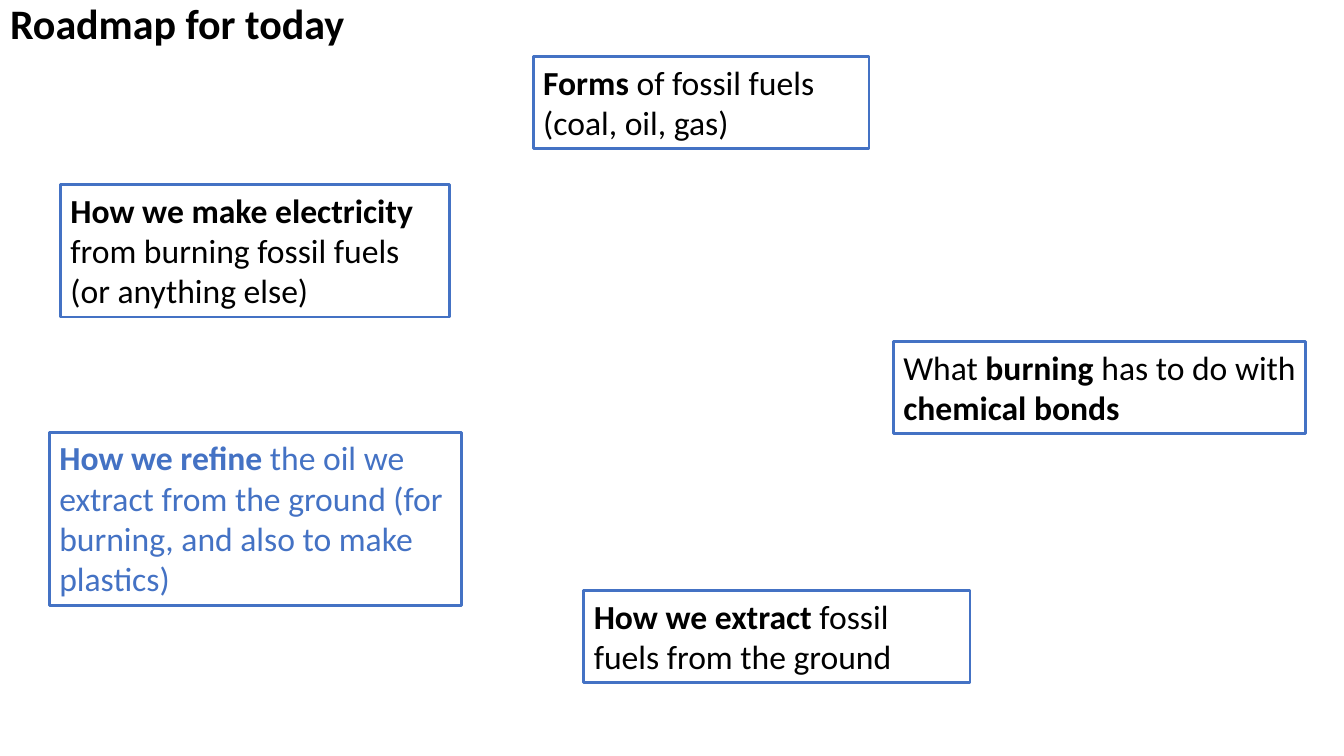
from dataclasses import dataclass

from pptx import Presentation
from pptx.dml.color import RGBColor
from pptx.enum.shapes import MSO_SHAPE
from pptx.enum.text import MSO_ANCHOR, MSO_AUTO_SIZE, PP_ALIGN
from pptx.shapes.autoshape import Shape
from pptx.slide import Slide
from pptx.util import Inches, Pt

WIDE, HIGH = Inches(13.33), Inches(7.5)
BLACK, BLUE = "000000", "4472C4"
PAD, ROW = 1.33, 5.4


@dataclass
class Topic:
    text: str
    left: float
    top: float
    width: float
    rows: int
    color: str = BLACK


TOPICS = [
    Topic("*How we make electricity* from burning fossil fuels (or anything else)",
          4.5, 24.4, 28.96, 3),
    Topic("*How we refine *the oil we extract from the ground "
          "(for burning, and also to make plastics)",
          3.68, 57.2, 30.68, 4, BLUE),
    Topic("*Forms* of fossil fuels (coal, oil, gas)", 39.68, 7.47, 24.98, 2),
    Topic("*How we extract* fossil fuels from the ground", 43.44, 78.13, 28.73, 2),
    Topic("What *burning* has to do with *chemical bonds*", 66.47, 45.2, 30.68, 2),
]


def paint(code: str) -> RGBColor:
    return RGBColor.from_string(code)


def across(share: float) -> int:
    return round(WIDE * share / 100)


def down(share: float) -> int:
    return round(HIGH * share / 100)


def write(shape: Shape, text: str, *, size: float, color: str = BLACK,
          anchor: MSO_ANCHOR = MSO_ANCHOR.TOP,
          fit: MSO_AUTO_SIZE = MSO_AUTO_SIZE.NONE,
          space: float = 1.0) -> None:
    frame = shape.text_frame
    frame.word_wrap = True
    frame.auto_size = fit
    frame.vertical_anchor = anchor
    para = frame.paragraphs[0]
    para.alignment = PP_ALIGN.LEFT
    para.line_spacing = space
    for index, part in enumerate(text.split("*")):
        if part:
            run = para.add_run()
            run.text = part
            run.font.name = "Calibri"
            run.font.size = Pt(size)
            run.font.bold = index % 2 == 1
            run.font.color.rgb = paint(color)


def head(slide: Slide, text: str) -> None:
    title = slide.shapes.title
    title.left, title.top = 0, 0
    title.width, title.height = across(93.47), down(6.93)
    write(title, text, size=30, anchor=MSO_ANCHOR.MIDDLE, space=0.9)


def draw(slide: Slide, topic: Topic) -> None:
    box = slide.shapes.add_shape(
        MSO_SHAPE.RECTANGLE, across(topic.left), down(topic.top),
        across(topic.width), down(PAD + ROW * topic.rows))
    box.shadow.inherit = False
    box.fill.background()
    box.line.color.rgb = paint(BLUE)
    box.line.width = Pt(2)
    write(box, topic.text, size=24, color=topic.color,
          fit=MSO_AUTO_SIZE.SHAPE_TO_FIT_TEXT)


def main() -> None:
    deck = Presentation()
    deck.slide_width, deck.slide_height = WIDE, HIGH
    slide = deck.slides.add_slide(deck.slide_layouts.get_by_name("Title Only"))
    head(slide, "*Roadmap for today*")
    for topic in TOPICS:
        draw(slide, topic)
    deck.save("out.pptx")


if __name__ == "__main__":
    main()
